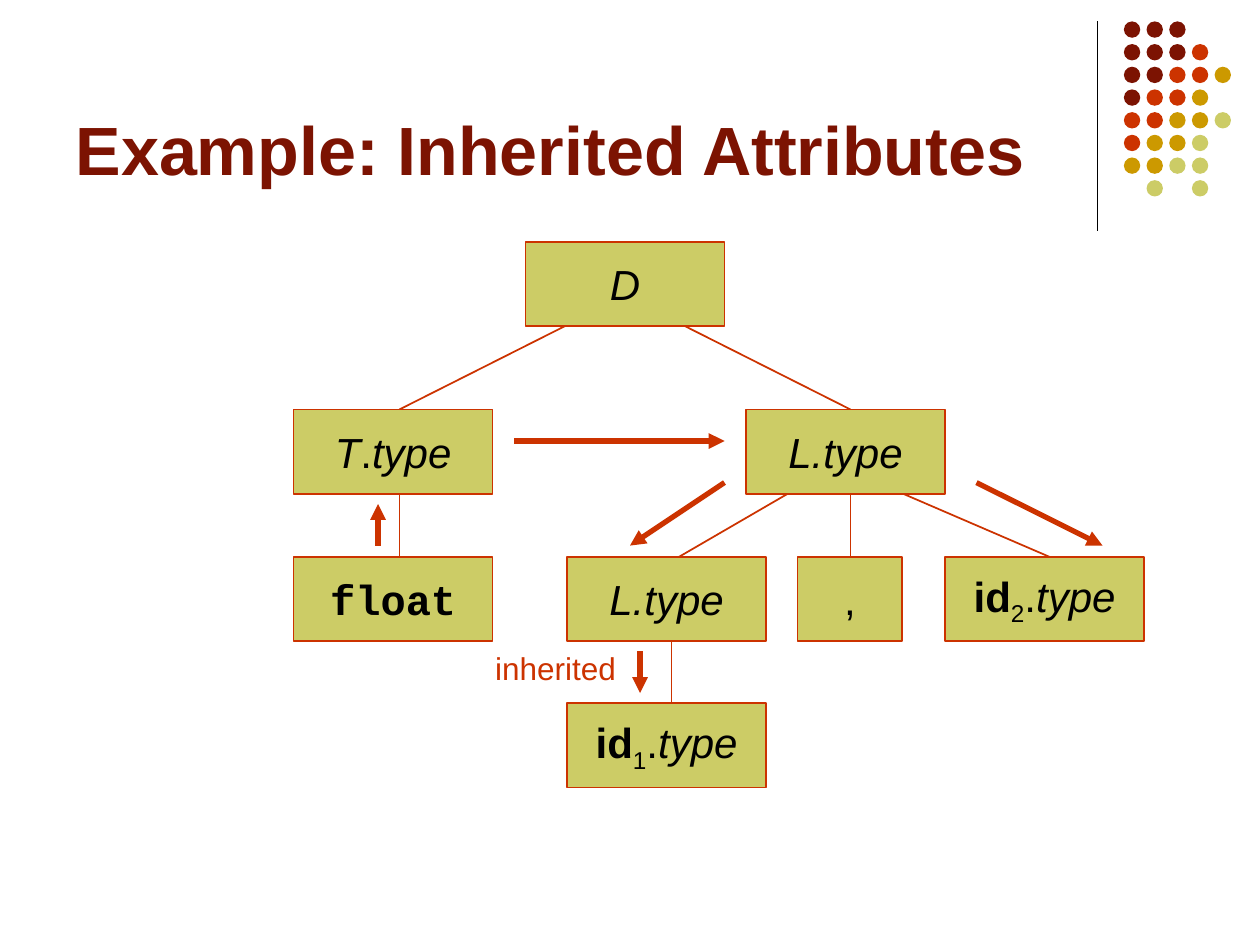
from dataclasses import dataclass
from lxml.etree import SubElement
from pptx import Presentation
from pptx.dml.color import RGBColor
from pptx.enum.shapes import MSO_CONNECTOR, MSO_SHAPE
from pptx.enum.text import MSO_ANCHOR, MSO_AUTO_SIZE, PP_ALIGN
from pptx.oxml.ns import qn
from pptx.util import Inches, Pt


@dataclass(frozen=True)
class Theme:
    maroon: str = "7C1302"
    red: str = "CC3300"
    gold: str = "CC9900"
    lime: str = "CCCC66"
    black: str = "000000"
    font: str = "Arial"
    code_font: str = "Courier New"
    title_size: int = 39
    node_size: int = 24
    label_size: int = 18


class TreeSlide:
    """Draws the parts of an annotated parse tree on one slide."""

    def __init__(self, prs, theme):
        self.theme = theme
        self.s = prs.slides.add_slide(prs.slide_layouts[5])

    def add_text(self, tf, runs, size, color, align, anchor):
        tf.auto_size = MSO_AUTO_SIZE.NONE
        tf.vertical_anchor = anchor
        p = tf.paragraphs[0]
        p.alignment = align
        for text, style in runs:
            r = p.add_run()
            r.text = text
            r.font.name = self.theme.code_font if "code" in style else self.theme.font
            r.font.size = Pt(size)
            r.font.color.rgb = RGBColor.from_string(color)
            r.font.bold = "bold" in style
            r.font.italic = "italic" in style
            if "sub" in style:
                r._r.get_or_add_rPr().set("baseline", "-25000")

    def title(self, text, left, top, width, height):
        sp = self.s.shapes.title
        sp.left, sp.top = Inches(left), Inches(top)
        sp.width, sp.height = Inches(width), Inches(height)
        self.add_text(sp.text_frame, [(text, "bold")], self.theme.title_size,
                      self.theme.maroon, PP_ALIGN.LEFT, MSO_ANCHOR.BOTTOM)

    def shape(self, kind, left, top, width, height, fill):
        sp = self.s.shapes.add_shape(kind, Inches(left), Inches(top), Inches(width), Inches(height))
        sp.shadow.inherit = False
        sp.fill.solid()
        sp.fill.fore_color.rgb = RGBColor.from_string(fill)
        sp.line.fill.background()
        return sp

    def dots(self, rows, left, top, pitch, size):
        colors = {"m": self.theme.maroon, "r": self.theme.red,
                  "g": self.theme.gold, "l": self.theme.lime}
        for j, row in enumerate(rows):
            for i, key in enumerate(row):
                if key in colors:
                    self.shape(MSO_SHAPE.OVAL, left + i * pitch, top + j * pitch,
                               size, size, colors[key])

    def node(self, runs, left, top, width=1.58, height=0.67):
        sp = self.shape(MSO_SHAPE.RECTANGLE, left, top, width, height, self.theme.lime)
        sp.line.color.rgb = RGBColor.from_string(self.theme.red)
        sp.line.width = Pt(1)
        sp.text_frame.word_wrap = False
        self.add_text(sp.text_frame, runs, self.theme.node_size, self.theme.black,
                      PP_ALIGN.CENTER, MSO_ANCHOR.MIDDLE)

    def line(self, x1, y1, x2, y2, color, width):
        c = self.s.shapes.add_connector(MSO_CONNECTOR.STRAIGHT, Inches(x1), Inches(y1),
                                        Inches(x2), Inches(y2))
        c.line.color.rgb = RGBColor.from_string(color)
        c.line.width = Pt(width)
        SubElement(c._element.spPr, qn("a:effectLst"))
        return c

    def arrow(self, x1, y1, x2, y2):
        c = self.line(x1, y1, x2, y2, self.theme.red, 3)
        SubElement(c._element.spPr.find(qn("a:ln")), qn("a:tailEnd"), type="triangle")

    def label(self, text, left, top, width, height):
        tb = self.s.shapes.add_textbox(Inches(left), Inches(top), Inches(width), Inches(height))
        tb.text_frame.word_wrap = False
        self.add_text(tb.text_frame, [(text, "")], self.theme.label_size, self.theme.red,
                      PP_ALIGN.CENTER, MSO_ANCHOR.TOP)


def identifier(index):
    return [("id", "bold"), (index, "sub"), (".", ""), ("type", "italic")]


def main():
    prs = Presentation()
    prs.slide_width, prs.slide_height = Inches(10), Inches(7.5)
    theme = Theme()
    tree = TreeSlide(prs, theme)

    tree.line(8.71, 0.17, 8.71, 1.83, theme.black, 0.75)
    tree.dots(["mmm", "mmmr", "mmrrg", "mrrg", "rrggl", "rggl", "ggll", " l l"],
              8.92, 0.17, 0.18, 0.13)
    tree.title("Example: Inherited Attributes", 0.5, 0.13, 8.25, 1.42)

    top, middle, lower, bottom = 1.92, 3.25, 4.42, 5.58
    branches = [
        (4.5, 2.58, 3.17, middle), (5.42, 2.58, 6.75, middle),
        (3.17, 3.92, 3.17, lower), (6.25, 3.92, 5.25, 4.5),
        (6.75, 3.92, 6.75, lower), (7.17, 3.92, 8.33, lower),
        (5.33, 5.08, 5.33, bottom),
    ]
    for branch in branches:
        tree.line(*branch, theme.red, 1)

    list_type = [("L.type", "italic")]
    tree.node([("D", "italic")], 4.17, top)
    tree.node([("T", "italic"), (".", ""), ("type", "italic")], 2.33, middle)
    tree.node(list_type, 5.92, middle)
    tree.node([("float", "bold code")], 2.33, lower)
    tree.node(list_type, 4.5, lower)
    tree.node([(",", "")], 6.33, lower, width=0.83)
    tree.node(identifier("2"), 7.5, lower)
    tree.node(identifier("1"), 4.5, bottom)

    flows = [
        (3, 4.33, 3, 4), (4.08, 3.5, 5.75, 3.5), (5.75, 3.83, 5, 4.33),
        (7.75, 3.83, 8.75, 4.33), (5.08, 5.17, 5.08, 5.5),
    ]
    for flow in flows:
        tree.arrow(*flow)
    tree.label("inherited", 3.83, 5.1, 1.16, 0.4)

    prs.save("out.pptx")


if __name__ == "__main__":
    main()
